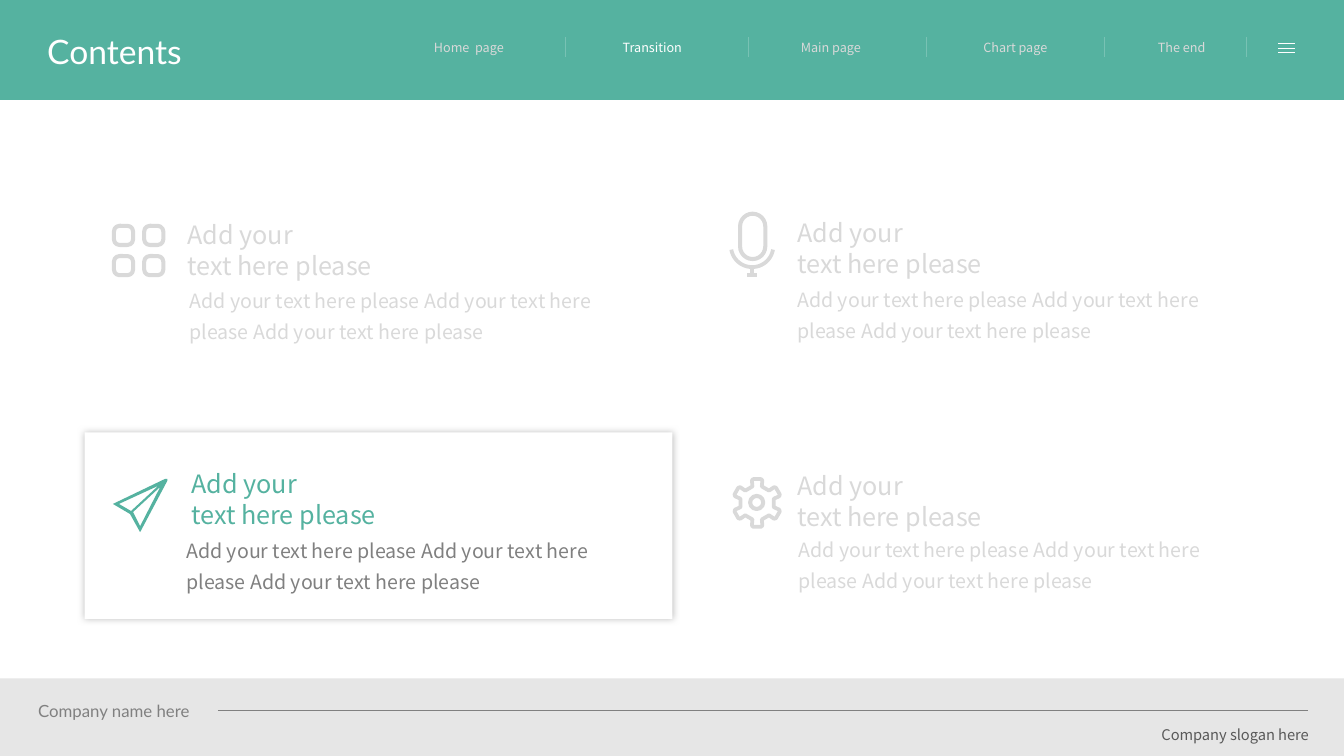
"""Build a contents slide with four topics, the third one highlighted."""
from math import cos, radians, sin

from lxml import etree
from pptx import Presentation
from pptx.dml.color import RGBColor
from pptx.enum.shapes import MSO_CONNECTOR, MSO_SHAPE
from pptx.enum.text import MSO_AUTO_SIZE, PP_ALIGN
from pptx.oxml.ns import qn
from pptx.util import Inches, Pt

RECTANGLE = MSO_SHAPE.RECTANGLE
ROUNDED = MSO_SHAPE.ROUNDED_RECTANGLE
OVAL = MSO_SHAPE.OVAL
STRAIGHT = MSO_CONNECTOR.STRAIGHT
GROW = MSO_AUTO_SIZE.SHAPE_TO_FIT_TEXT
LEFT, CENTER, RIGHT = PP_ALIGN.LEFT, PP_ALIGN.CENTER, PP_ALIGN.RIGHT
SANS, LATO = "Noto Sans CJK SC", "Lato"
GREEN, PALE_GREEN, WHITE = "55B2A0", "78C2B4", "FFFFFF"
PALE, GRAY, DARK, FOOTER = "D9D9D9", "808080", "595959", "E6E6E6"
rgb = RGBColor.from_string


def paint(shape, fill=None, line=None, weight=2.9):
    """Give a shape a plain fill and outline without a shadow."""
    shape.shadow.inherit = False
    for part, color in ((shape.fill, fill), (shape.line.fill, line)):
        if color:
            part.solid()
            part.fore_color.rgb = rgb(color)
        else:
            part.background()
    if line:
        shape.line.width = Pt(weight)


def write(text, left, top, width, height, size, color, font=SANS, align=LEFT, spacing=None):
    """Add a wrapping text box, one paragraph per line of text."""
    box = shapes.add_textbox(Inches(left), Inches(top), Inches(width), Inches(height))
    frame = box.text_frame
    frame.word_wrap = True
    frame.auto_size = GROW
    frame.text = text
    for paragraph in frame.paragraphs:
        paragraph.alignment = align
        if spacing:
            paragraph.line_spacing = spacing
        for run in paragraph.runs:
            run.font.name = font
            run.font.size = Pt(size)
            run.font.color.rgb = rgb(color)


prs = Presentation()
prs.slide_width = Inches(13.33)
prs.slide_height = Inches(7.5)
shapes = prs.slides.add_slide(prs.slide_layouts[6]).shapes

panels = [
    (0.84, 4.29, 5.83, 1.85, WHITE, True),
    (7, 4.3, 5.83, 1.85, WHITE, False),
    (7, 1.94, 5.83, 1.85, WHITE, False),
    (0.84, 1.91, 5.83, 1.85, WHITE, False),
    (0, 6.73, 13.33, 0.77, FOOTER, False),
    (0, 0, 13.33, 0.99, GREEN, False),
]
for left, top, width, height, color, highlighted in panels:
    panel = shapes.add_shape(RECTANGLE, Inches(left), Inches(top), Inches(width), Inches(height))
    paint(panel, color)
    if highlighted:
        effects = panel._element.spPr.find(qn("a:effectLst"))
        glow = etree.SubElement(effects, qn("a:outerShdw"), blurRad=str(Pt(5)), dist="0", algn="ctr", rotWithShape="0")
        etree.SubElement(glow, qn("a:srgbClr"), val="BFBFBF")

outlines = [(ROUNDED, 1.13 + 0.3 * column, 2.24 + 0.3 * row, 0.19, 0.19, 0.3) for row in range(2) for column in range(2)]
outlines += [(ROUNDED, 7.34, 2.12, 0.25, 0.45, 0.5), (OVAL, 7.44, 4.92, 0.13, 0.13, None)]
for kind, left, top, width, height, rounding in outlines:
    outline = shapes.add_shape(kind, Inches(left), Inches(top), Inches(width), Inches(height))
    if rounding:
        outline.adjustments[0] = rounding
    paint(outline, line=PALE)

cradle = [(7.46 + 0.21 * cos(radians(a)), 2.44 + 0.21 * sin(radians(a))) for a in range(10, 171, 5)]
tooth = [(0.17, -16), (0.23, -13), (0.24, -9), (0.24, 9), (0.23, 13), (0.17, 16)]
gear = [
    (7.51 + radius * sin(radians(turn + offset)), 4.99 - radius * cos(radians(turn + offset)))
    for turn in range(0, 360, 60)
    for radius, offset in tooth
]
plane = [
    [(1.64, 4.75), (1.12, 5), (1.29, 5.1), (1.39, 5.28), (1.66, 4.77), (1.66, 4.75)],
    [(1.18, 5), (1.57, 4.82), (1.3, 5.07)],
    [(1.39, 5.22), (1.32, 5.08), (1.59, 4.83)],
]
icons = [([cradle], False, None, PALE), ([gear], True, None, PALE), (plane, True, GREEN, None)]
for contours, closed, fill, line in icons:
    start, *others = [[(Inches(x), Inches(y)) for x, y in contour] for contour in contours]
    builder = shapes.build_freeform(*start[0])
    builder.add_line_segments(start[1:], close=closed)
    for hole in others:
        builder.move_to(*hole[0])
        builder.add_line_segments(hole[1:])
    paint(builder.convert_to_shape(), fill, line, 2.7)

topics = [
    (1.76, 2.13, 3.82, 1.78, 2.75, 4.6, PALE, PALE),
    (7.81, 2.11, 2.24, 7.81, 2.74, 4.43, PALE, PALE),
    (1.8, 4.6, 2.24, 1.75, 5.23, 4.43, GREEN, GRAY),
    (7.81, 4.62, 2.24, 7.82, 5.22, 4.61, PALE, PALE),
]
detail = " ".join(["Add your text here please"] * 3)
for left, top, width, detail_left, detail_top, detail_width, color, detail_color in topics:
    write("Add your\ntext here please", left, top, width, 0.71, 18, color)
    write(detail, detail_left, detail_top, detail_width, 0.68, 14, detail_color, spacing=1.3)

write("Contents", 0.37, 0.26, 2.55, 0.5, 24, WHITE, LATO)
menu = [
    ("Home  page", 3.93, 1.44, PALE),
    ("Transition", 5.8, 1.34, WHITE),
    ("Main page", 7.57, 1.34, PALE),
    ("Chart page", 9.34, 1.46, PALE),
    ("The end", 11.24, 0.96, PALE),
]
for label, left, width, color in menu:
    write(label, left, 0.35, width, 0.25, 9, color, align=CENTER)
write("Company name here", 0.28, 6.9, 2.16, 0.3, 12, GRAY, LATO)
write("Company slogan here", 10.84, 7.15, 2.24, 0.28, 10.5, DARK, align=RIGHT)

rules = [(12.68, y, 12.84, y, WHITE, 0.5) for y in (0.43, 0.48, 0.52)]
rules += [(x, 0.37, x, 0.57, PALE_GREEN, 0.5) for x in (5.61, 7.42, 9.19, 10.95, 12.36)]
rules += [
    (2.16, 7.05, 12.97, 7.05, GRAY, 0.5),
    (7.46, 2.65, 7.46, 2.73, PALE, 2.9),
    (7.41, 2.73, 7.51, 2.73, PALE, 2.9),
]
for x1, y1, x2, y2, color, weight in rules:
    rule = shapes.add_connector(STRAIGHT, Inches(x1), Inches(y1), Inches(x2), Inches(y2))
    rule.line.color.rgb = rgb(color)
    rule.line.width = Pt(weight)
    etree.SubElement(rule._element.spPr, qn("a:effectLst"))

prs.save("out.pptx")
